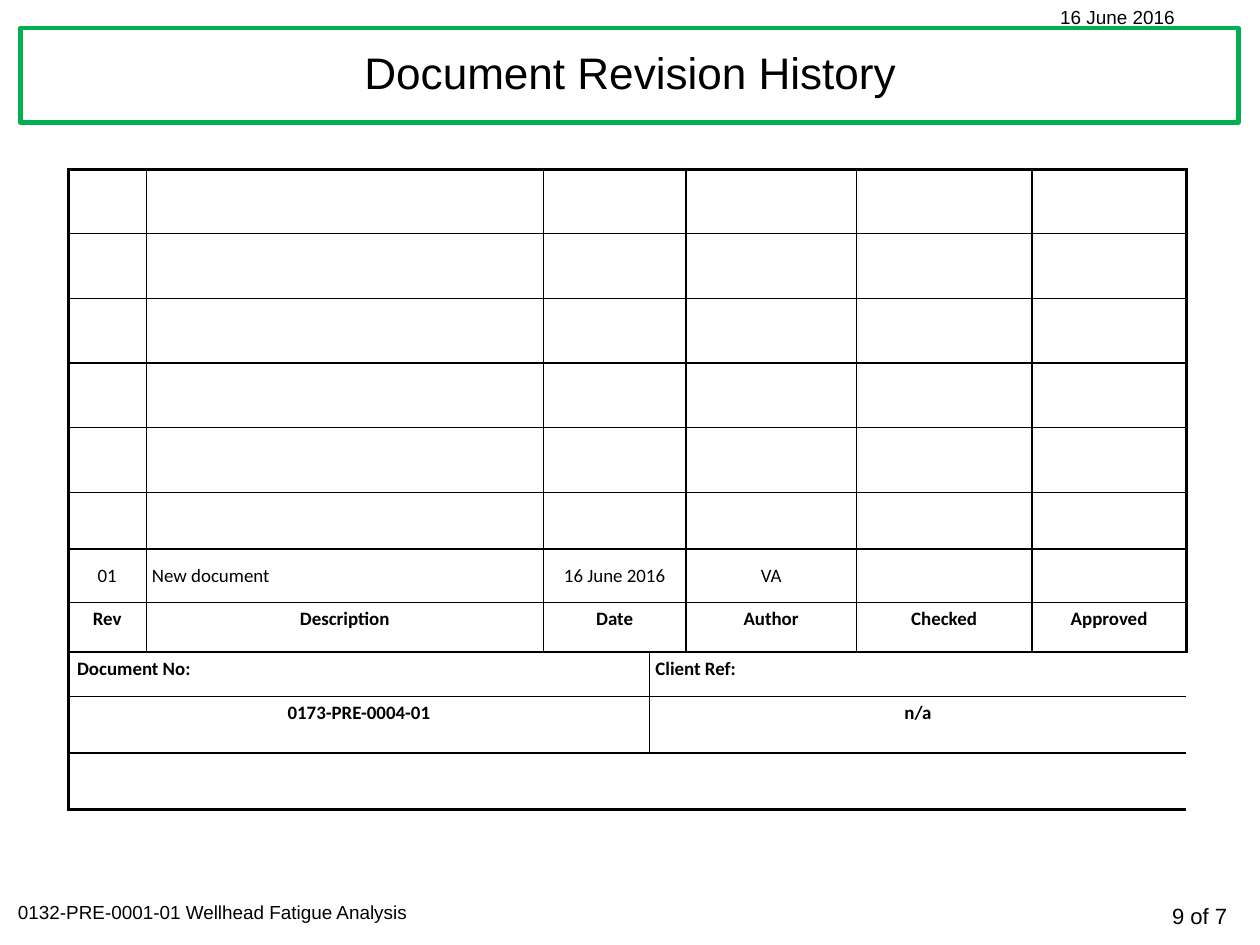
"""Build the document revision history slide."""
from lxml import etree
from pptx import Presentation, util as u
from pptx.dml.color import RGBColor
from pptx.enum import shapes, text
from pptx.oxml.ns import qn

BLACK = RGBColor(0x00, 0x00, 0x00)
WHITE = RGBColor(0xFF, 0xFF, 0xFF)
GREEN = RGBColor(0x00, 0xB0, 0x50)
LEFT, CENTER, RIGHT = text.PP_ALIGN.LEFT, text.PP_ALIGN.CENTER, text.PP_ALIGN.RIGHT
TOP, MIDDLE = text.MSO_ANCHOR.TOP, text.MSO_ANCHOR.MIDDLE

COLUMN_WIDTHS = [0.69, 3.5, 0.94, 0.32, 1.5, 1.55, 1.36]
ROW_HEIGHTS = [0.57] * 5 + [0.5, 0.47, 0.44, 0.39, 0.5, 0.5]
REVISION, HEADINGS, LABELS, NUMBERS, CLOSING = range(6, 11)
MERGES = [(row, 2, 3) for row in range(LABELS)]
MERGES += [(row, *span) for row in (LABELS, NUMBERS) for span in ((0, 2), (3, 6))]
MERGES += [(CLOSING, 0, 6)]
ENTRIES = {
    REVISION: {0: "01", 1: "New document", 2: "16 June 2016", 4: "VA"},
    HEADINGS: {0: "Rev", 1: "Description", 2: "Date", 4: "Author", 5: "Checked", 6: "Approved"},
    LABELS: {0: "Document No:", 3: "Client Ref:"},
    NUMBERS: {0: "0173-PRE-0004-01", 3: "n/a"},
}
LEFT_ALIGNED = {(REVISION, 1), (LABELS, 0), (LABELS, 3)}


class RevisionSlide:
    """Holds the style and the slide, and draws each kind of element."""

    def __init__(self, deck):
        self.slide = deck.slides.add_slide(deck.slide_layouts[5])
        self.thin, self.thick = 1, 2.25

    def set_words(self, frame, words, size, font="Arial", align=LEFT, bold=False):
        frame.text = words
        paragraph = frame.paragraphs[0]
        paragraph.alignment = align
        for run in paragraph.runs:
            run.font.name, run.font.size, run.font.bold = font, u.Pt(size), bold
            run.font.color.rgb = BLACK

    def frame(self, *place):
        banner = self.slide.shapes.add_shape(shapes.MSO_SHAPE.RECTANGLE, *map(u.Inches, place))
        banner.shadow.inherit = False
        banner.fill.solid()
        banner.fill.fore_color.rgb = WHITE
        banner.line.color.rgb = GREEN
        banner.line.width = u.Pt(2.75)
        self.slide.shapes._spTree.insert(2, banner._element)

    def title(self, words, *place):
        heading = self.slide.shapes.title
        heading.left, heading.top, heading.width, heading.height = map(u.Inches, place)
        self.set_words(heading.text_frame, words, 28, align=CENTER)
        heading.text_frame.vertical_anchor = MIDDLE
        heading.text_frame.auto_size = text.MSO_AUTO_SIZE.NONE
        heading.text_frame.paragraphs[0].line_spacing = 0.9

    def label(self, words, *place, size=12, align=LEFT):
        note = self.slide.shapes.add_textbox(*map(u.Inches, place))
        note.text_frame.word_wrap = True
        self.set_words(note.text_frame, words, size, align=align)

    def border(self, cell, side, width):
        line = etree.SubElement(cell._tc.get_or_add_tcPr(), qn(f"a:ln{side}"))
        line.set("w", str(u.Pt(width)))
        if width:
            fill = etree.SubElement(line, qn("a:solidFill"))
            etree.SubElement(fill, qn("a:srgbClr")).set("val", str(BLACK))
        else:
            etree.SubElement(line, qn("a:noFill"))

    def borders(self, table, row, column):
        cell = table.cell(row, column)
        last_row, last_column = len(ROW_HEIGHTS) - 1, len(COLUMN_WIDTHS) - 1
        joined_right = column < last_column and table.cell(row, column + 1).is_spanned
        sides = {
            "L": (column == 0, cell.is_spanned),
            "R": (column == last_column, joined_right),
            "T": (row == 0, False),
            "B": (row == last_row, False),
        }
        for side, (outer, hidden) in sides.items():
            self.border(cell, side, 0 if hidden else self.thick if outer else self.thin)

    def table(self, *corner):
        size = sum(COLUMN_WIDTHS), sum(ROW_HEIGHTS)
        history = self.slide.shapes.add_table(
            len(ROW_HEIGHTS), len(COLUMN_WIDTHS), *map(u.Inches, corner + size)).table
        history.first_row = history.horz_banding = False
        for column, width in zip(history.columns, COLUMN_WIDTHS):
            column.width = u.Inches(width)
        for row, height in zip(history.rows, ROW_HEIGHTS):
            row.height = u.Inches(height)
        for row, first, last in MERGES:
            history.cell(row, first).merge(history.cell(row, last))
        for row in range(len(ROW_HEIGHTS)):
            for column in range(len(COLUMN_WIDTHS)):
                cell = history.cell(row, column)
                self.borders(history, row, column)
                cell.fill.solid()
                cell.fill.fore_color.rgb = WHITE
                cell.margin_left = cell.margin_right = u.Inches(0.05)
                cell.margin_top = cell.margin_bottom = u.Inches(0.05)
                cell.vertical_anchor = MIDDLE if row == REVISION else TOP
                words = ENTRIES.get(row, {}).get(column)
                if words:
                    align = LEFT if (row, column) in LEFT_ALIGNED else CENTER
                    self.set_words(cell.text_frame, words, 12, "Calibri", align, row > REVISION)
        history.cell(LABELS, 0).margin_left = u.Inches(0.08)


def main():
    deck = Presentation()
    deck.slide_width, deck.slide_height = u.Inches(11.11), u.Inches(8.33)
    page = RevisionSlide(deck)
    page.frame(0.18, 0.25, 10.74, 0.83)
    page.label("9 of 7", 9.4, 7.91, 1.52, 0.34, size=14, align=RIGHT)
    page.label("0132-PRE-0001-01 Wellhead Fatigue Analysis", 0.06, 7.89, 3.99, 0.3)
    page.label("16 June 2016", 9.25, 0, 1.68, 0.3)
    page.title("Document Revision History", 0.21, 0.25, 10.69, 0.83)
    page.table(0.6, 1.49)
    deck.save("out.pptx")


if __name__ == "__main__":
    main()
